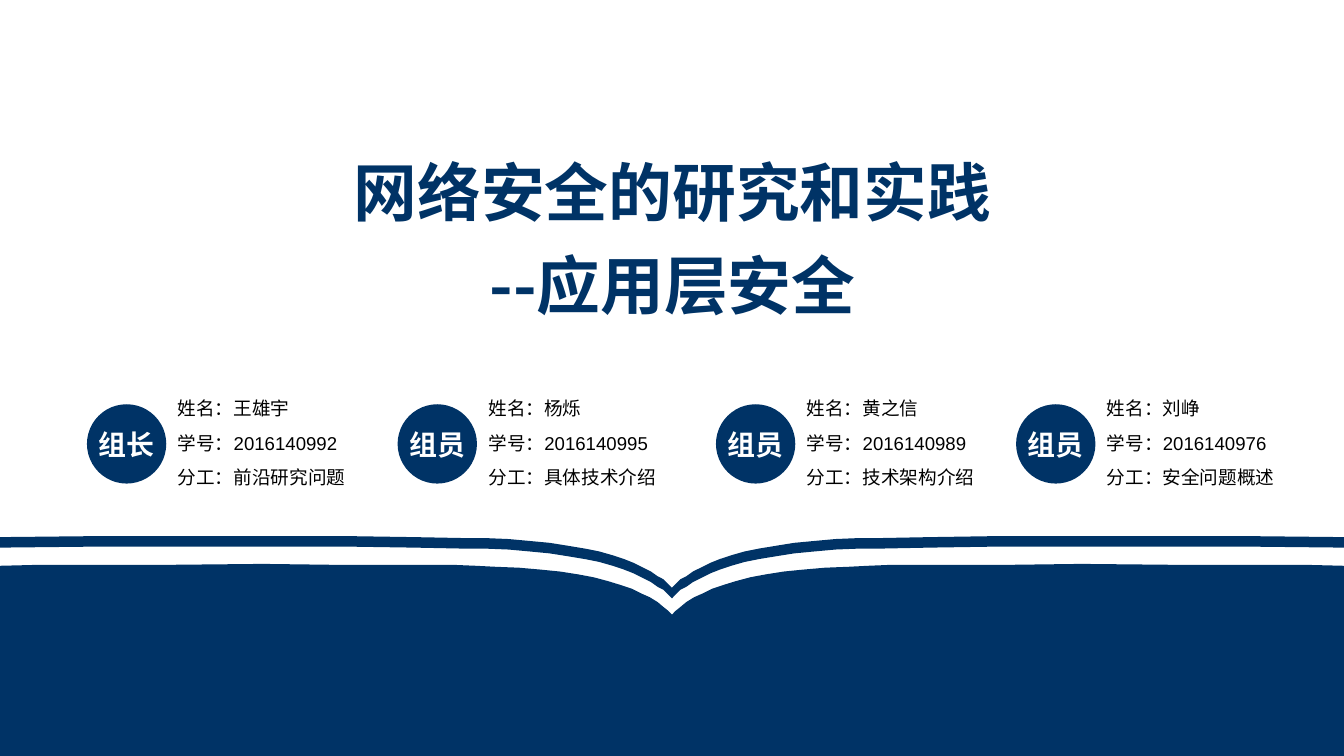
from dataclasses import dataclass

from lxml.etree import SubElement
from pptx import Presentation
from pptx.dml.color import RGBColor
from pptx.enum.shapes import MSO_SHAPE as Shape
from pptx.enum.text import MSO_ANCHOR as Anchor, MSO_AUTO_SIZE as AutoSize, PP_ALIGN as Align
from pptx.oxml.ns import qn
from pptx.util import Inches, Pt

TITLE = ["网络安全的研究和实践", "--应用层安全"]
FIELDS = ["姓名", "学号", "分工"]
MEMBERS = [
    (0.91, "组长", ("王雄宇", "2016140992", "前沿研究问题")),
    (4.16, "组员", ("杨烁", "2016140995", "具体技术介绍")),
    (7.49, "组员", ("黄之信", "2016140989", "技术架构介绍")),
    (10.63, "组员", ("刘峥", "2016140976", "安全问题概述")),
]
COVER_EDGE = [
    (0, 5.62), (0.95, 5.61), (2.5, 5.61), (3.68, 5.61), (4.33, 5.62), (4.85, 5.63),
    (5.07, 5.63), (5.32, 5.64), (5.54, 5.66), (5.75, 5.68), (5.94, 5.71), (6.12, 5.74),
    (6.27, 5.77), (6.41, 5.81), (6.53, 5.85), (6.63, 5.89), (6.73, 5.94), (6.81, 5.98),
    (6.88, 6.03), (6.94, 6.06), (6.99, 6.11), (7.03, 6.15),
]
PAGE_EDGE = [
    (0, 5.92), (0.4, 5.91), (1.74, 5.91), (2.75, 5.9), (3.52, 5.91), (4.74, 5.91),
    (4.98, 5.92), (5.18, 5.93), (5.43, 5.94), (5.66, 5.96), (5.86, 5.98), (6.05, 6.01),
    (6.21, 6.04), (6.36, 6.08), (6.49, 6.12), (6.61, 6.16), (6.71, 6.21), (6.8, 6.25),
    (6.88, 6.3), (6.94, 6.35), (6.99, 6.39), (7.03, 6.43),
]
WIDTH, HEIGHT = 14.06, 7.91
COVER_THICKNESS = 0.11
BADGE_TOP, BADGE_SIZE = 4.23, 0.83
DETAIL_OFFSET, DETAIL_TOP, DETAIL_STEP = 0.95, 4.11, 0.36


@dataclass(frozen=True)
class Theme:
    navy: RGBColor = RGBColor(0x00, 0x33, 0x66)
    white: RGBColor = RGBColor(0xFF, 0xFF, 0xFF)
    black: RGBColor = RGBColor(0x00, 0x00, 0x00)
    cjk: str = "Noto Sans CJK SC"
    latin: str = "Arial"
    title: int = 48
    title_line: int = 70
    badge: int = 21
    detail: int = 14
    detail_line: float = 1.2


THEME = Theme()


def style(paragraph, face, size, color, bold=False, align=Align.LEFT):
    paragraph.alignment = align
    font = paragraph.font
    font.name, font.size, font.bold = face, Pt(size), bold
    font.color.rgb = color
    defaults = paragraph._p.pPr.find(qn("a:defRPr"))
    SubElement(defaults, qn("a:ea")).set("typeface", THEME.cjk)


def clear_margins(frame):
    frame.margin_left = frame.margin_right = frame.margin_top = frame.margin_bottom = 0


def add_text_frame(slide, left, top, width, height):
    box = slide.shapes.add_textbox(Inches(left), Inches(top), Inches(width), Inches(height))
    frame = box.text_frame
    frame.word_wrap = True
    clear_margins(frame)
    return frame


def paint(shape):
    shape.shadow.inherit = False
    shape.fill.solid()
    shape.fill.fore_color.rgb = THEME.navy
    shape.line.fill.background()


def add_title(slide):
    frame = add_text_frame(slide, 3.32, 1.51, 7.43, 1.77)
    frame.vertical_anchor = Anchor.MIDDLE
    frame.text = "\n".join(TITLE)
    for line in frame.paragraphs:
        line.line_spacing = Pt(THEME.title_line)
        style(line, THEME.cjk, THEME.title, THEME.navy, True, Align.CENTER)


def mirrored(half):
    return half + [(WIDTH - x, y) for x, y in reversed(half[:-1])]


def add_outline(slide, points):
    start, *rest = [(Inches(x), Inches(y)) for x, y in points]
    builder = slide.shapes.build_freeform(*start)
    builder.add_line_segments(rest, close=True)
    paint(builder.convert_to_shape())


def add_book(slide):
    pages = mirrored(PAGE_EDGE)
    add_outline(slide, pages + [(WIDTH, HEIGHT), (0, HEIGHT)])
    cover = mirrored(COVER_EDGE)
    underside = [(x, y + COVER_THICKNESS) for x, y in reversed(cover)]
    add_outline(slide, cover + underside)


def add_member(slide, left, role, values):
    badge = slide.shapes.add_shape(
        Shape.OVAL, Inches(left), Inches(BADGE_TOP), Inches(BADGE_SIZE), Inches(BADGE_SIZE))
    paint(badge)
    label = badge.text_frame
    clear_margins(label)
    label.word_wrap = False
    label.vertical_anchor = Anchor.MIDDLE
    label.text = role
    style(label.paragraphs[0], THEME.latin, THEME.badge, THEME.white, True, Align.CENTER)
    for row, (field, value) in enumerate(zip(FIELDS, values)):
        top = DETAIL_TOP + row * DETAIL_STEP
        detail = add_text_frame(slide, left + DETAIL_OFFSET, top, 2.26, 0.28)
        detail.auto_size = AutoSize.SHAPE_TO_FIT_TEXT
        detail.text = f"{field}：{value}"
        line = detail.paragraphs[0]
        line.line_spacing = THEME.detail_line
        style(line, THEME.latin, THEME.detail, THEME.black)


def main():
    """Build the title slide of the network security project."""
    deck = Presentation()
    deck.slide_width, deck.slide_height = Inches(WIDTH), Inches(HEIGHT)
    slide = deck.slides.add_slide(deck.slide_layouts[6])
    add_title(slide)
    add_book(slide)
    for left, role, values in MEMBERS:
        add_member(slide, left, role, values)
    deck.save("out.pptx")


if __name__ == "__main__":
    main()
